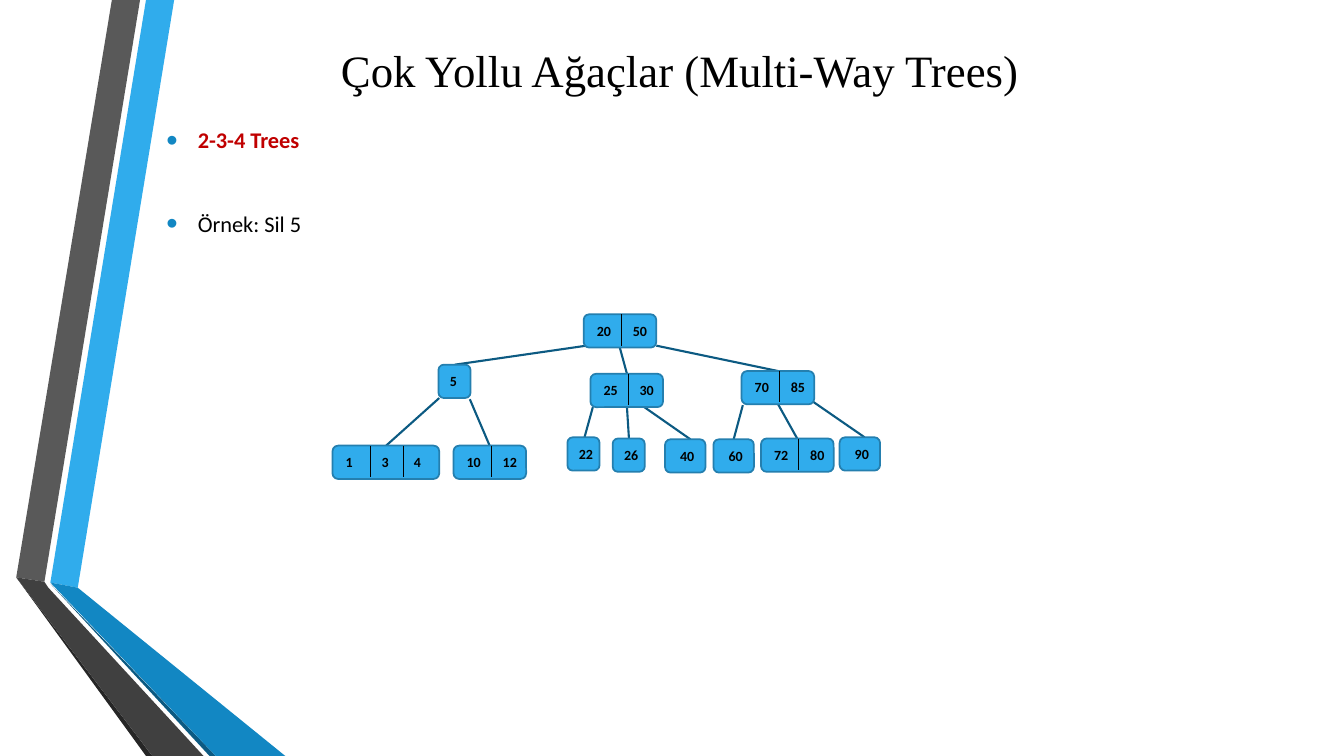
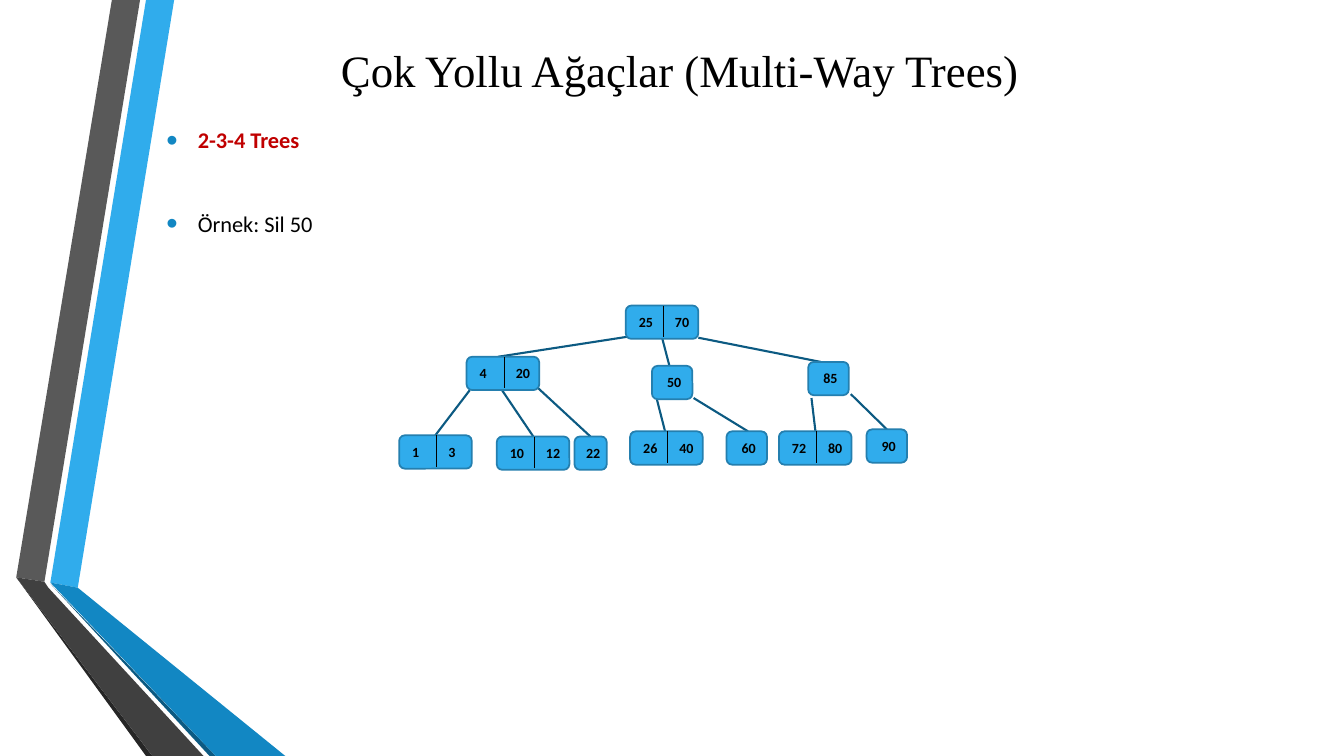
from lxml import etree
from pptx import Presentation
from pptx.dml.color import RGBColor
from pptx.enum.shapes import MSO_CONNECTOR, MSO_SHAPE
from pptx.enum.text import PP_ALIGN
from pptx.oxml.ns import qn
from pptx.util import Cm, Pt

LINE = MSO_CONNECTOR.STRAIGHT
ROUNDED = MSO_SHAPE.ROUNDED_RECTANGLE
CENTER = PP_ALIGN.CENTER

BLACK, RED = "000000", "C00000"
BLUE, MID_BLUE, DARK_BLUE, OUTLINE = "30ACEC", "1287C3", "0C5A82", "247FAF"
TITLE = "Çok Yollu Ağaçlar (Multi-Way Trees)"

# All lengths are in centimetres.
WIDTH, HEIGHT = 33.87, 19.05
NODE_H = 0.84
ONE_SMALL, ONE, TWO, THREE = 0.81, 1.02, 1.83, 2.69  # node widths
KEY_OFFSETS = (0.08, 0.99, 1.8)
DIVIDER_OFFSETS = (0.95, 1.8)

BANDS = [
    (BLUE, [(1.27, 14.68), (1.96, 14.81), (4.39, 0), (3.68, 0)]),
    ("595959", [(3.53, 0), (2.82, 0), (0.41, 14.55), (1.12, 14.66)]),
    ("262626", [(0.41, 14.55), (3.68, HEIGHT), (3.84, HEIGHT)]),
    (DARK_BLUE, [(1.27, 14.71), (5.28, HEIGHT), (5.44, HEIGHT)]),
    (MID_BLUE, [(1.27, 14.68), (5.44, HEIGHT), (7.19, HEIGHT), (1.96, 14.81)]),
    ("404040", [(5.13, HEIGHT), (1.22, 14.81), (1.12, 14.66), (0.41, 14.55),
                (3.84, HEIGHT)]),
]

# Node: keys, left, top, width, edge from its parent (start x, start y, end x)
TREES = [
    ("Örnek: Sil 5", [
        ("20 50", 14.71, 7.92, TWO, None),
        ("5", 11.05, 9.19, ONE_SMALL, (14.78, 8.71, 11.46)),
        ("25 30", 14.88, 9.42, TWO, (15.62, 8.76, 15.8)),
        ("70 85", 18.69, 9.35, TWO, (16.54, 8.71, 19.61)),
        ("1 3 4", 8.38, 11.23, THREE, (11.07, 10.03, 9.73)),
        ("10 12", 11.43, 11.23, TWO, (11.84, 10.06, 12.34)),
        ("22", 14.3, 11.02, ONE_SMALL, (14.94, 10.26, 14.73)),
        ("26", 15.44, 11.05, ONE_SMALL, (15.8, 10.26, 15.85)),
        ("40", 16.76, 11.07, ONE, (16.21, 10.24, 17.4)),
        ("60", 17.98, 11.07, ONE, (18.72, 10.21, 18.49)),
        ("72 80", 19.18, 11.05, TWO, (19.61, 10.19, 20.09)),
        ("90", 21.16, 11.02, ONE, (20.5, 10.13, 21.79)),
    ]),
    ("Örnek: Sil 50", [
        ("25 70", 15.77, 7.7, TWO, None),
        ("4 20", 11.76, 8.99, TWO, (15.85, 8.48, 12.55)),
        ("50", 16.43, 9.22, ONE, (16.69, 8.53, 16.87)),
        ("85", 20.37, 9.12, ONE, (17.6, 8.51, 20.68)),
        ("1 3", 10.06, 10.97, TWO, (11.84, 9.83, 10.97)),
        ("10 12", 12.52, 11, TWO, (12.65, 9.83, 13.44)),
        ("22", 14.48, 11, ONE_SMALL, (13.56, 9.78, 14.88)),
        ("26 40", 15.88, 10.87, TWO, (16.54, 10.01, 16.76)),
        ("60", 18.31, 10.87, ONE, (17.48, 10.03, 18.85)),
        ("72 80", 19.63, 10.87, TWO, (20.45, 10.03, 20.55)),
        ("90", 21.84, 10.82, ONE, (21.44, 9.93, 22.35)),
    ]),
]


def write(p, text, size, color=BLACK, font="Calibri", bold=False):
    r = p.add_run()
    r.text = text
    r.font.size, r.font.name, r.font.bold = Pt(size), font, bold
    r.font.color.rgb = RGBColor.from_string(color)


def add_line(shapes, x1, y1, x2, y2, color, width):
    c = shapes.add_connector(LINE, Cm(x1), Cm(y1), Cm(x2), Cm(y2))
    c.line.color.rgb = RGBColor.from_string(color)
    c.line.width = Pt(width)
    etree.SubElement(c.element.spPr, qn("a:effectLst"))


prs = Presentation()
prs.slide_width, prs.slide_height = Cm(WIDTH), Cm(HEIGHT)
layout = prs.slide_layouts[1]
for ph, top, height in zip(layout.placeholders, (0.43, 2.72), (2.64, 5.66)):
    ph.left, ph.top, ph.width, ph.height = Cm(3.94), Cm(top), Cm(26.39), Cm(height)

slides = [prs.slides.add_slide(layout) for tree in TREES]

# Freeforms can only be built on a slide, so the bands move to the layout.
for i, (color, points) in enumerate(BANDS):
    start, *rest = [(Cm(x), Cm(y)) for x, y in points]
    builder = slides[0].shapes.build_freeform(*start)
    builder.add_line_segments(rest)
    band = builder.convert_to_shape()
    band.shadow.inherit = False
    band.fill.solid()
    band.fill.fore_color.rgb = RGBColor.from_string(color)
    band.line.fill.background()
    layout.shapes.element.insert(2 + i, band.element)

for s, (task, nodes) in zip(slides, TREES):
    p = s.shapes.title.text_frame.paragraphs[0]
    p.alignment = CENTER
    write(p, TITLE, 32, font="Times New Roman")

    tf = s.placeholders[1].text_frame
    heading, example = tf.paragraphs[0], tf.add_paragraph()
    write(heading, "2-3-4 Trees", 16, RED, bold=True)
    write(example, task, 16)
    for p, space in ((heading, 0), (example, 31)):
        p.line_spacing = 1.5
        p.space_before = Pt(space)
        pPr = p._p.get_or_add_pPr()
        pPr.set("marL", str(Cm(0.79)))
        pPr.set("indent", str(-Cm(0.79)))
        bullet_color = etree.SubElement(pPr, qn("a:buClr"))
        etree.SubElement(bullet_color, qn("a:srgbClr"), val=MID_BLUE)
        etree.SubElement(pPr, qn("a:buSzPct"), val="145000")
        etree.SubElement(pPr, qn("a:buFont"), typeface="Arial")
        etree.SubElement(pPr, qn("a:buChar"), char="•")

    tree = s.shapes.add_group_shape().shapes
    for keys, left, top, width, edge in nodes:
        if edge:
            x1, y1, x2 = edge
            add_line(tree, x1, y1, x2, top, DARK_BLUE, 1.5)

    for keys, left, top, width, edge in nodes:
        box = tree.add_shape(ROUNDED, Cm(left), Cm(top), Cm(width), Cm(NODE_H))
        box.shadow.inherit = False
        box.fill.solid()
        box.fill.fore_color.rgb = RGBColor.from_string(BLUE)
        box.line.color.rgb = RGBColor.from_string(OUTLINE)
        box.line.width = Pt(1.25)

        keys = keys.split()
        for offset in DIVIDER_OFFSETS[:len(keys) - 1]:
            x = left + offset
            add_line(tree, x, top, x, top + 0.79, BLACK, 0.75)
        for key, offset in zip(keys, KEY_OFFSETS):
            if width == ONE:
                offset = 0.13
            elif width == ONE_SMALL:
                offset = 0.04
            tf = tree.add_textbox(Cm(left + offset), Cm(top + 0.07),
                                  Cm(0.91), Cm(0.69)).text_frame
            tf.word_wrap = True
            write(tf.paragraphs[0], key, 10, bold=True)

prs.save("out.pptx")
